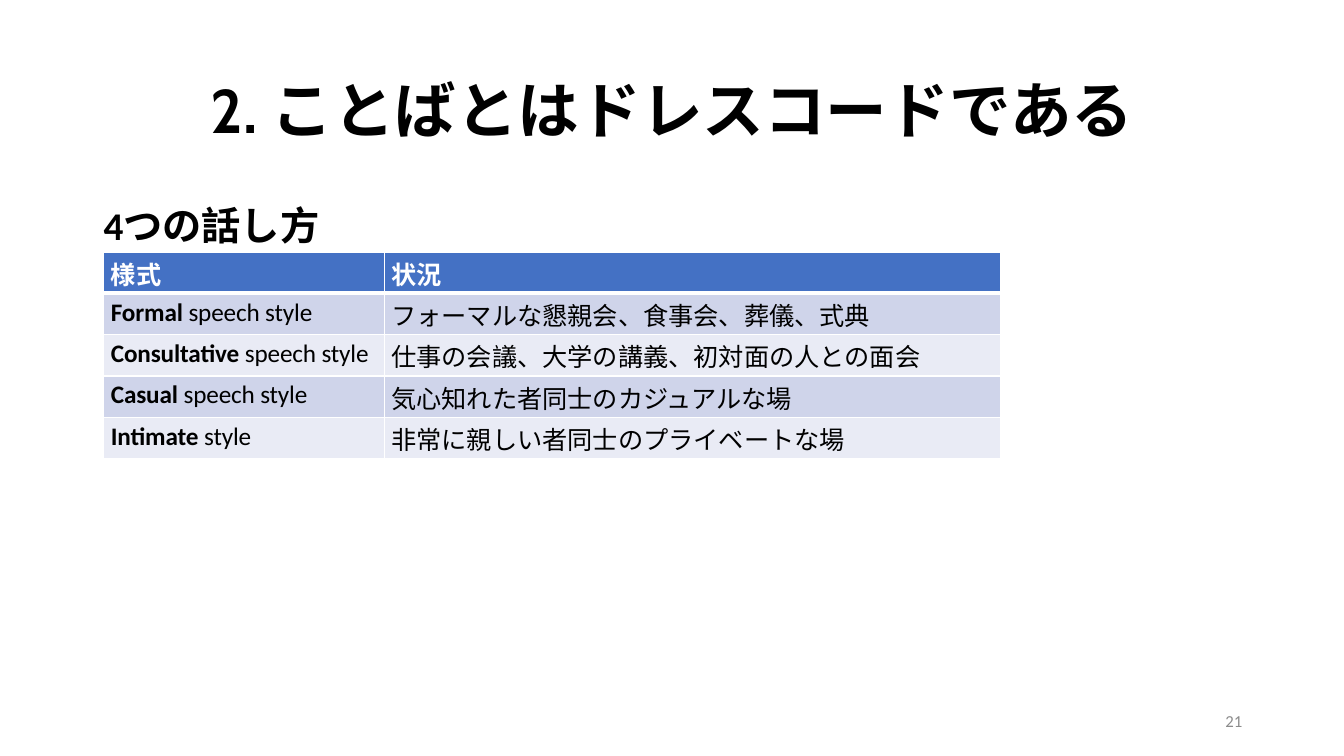
from lxml import etree
from pptx import Presentation
from pptx.dml.color import RGBColor
from pptx.enum.text import MSO_ANCHOR, PP_ALIGN
from pptx.oxml.ns import qn
from pptx.util import Inches, Pt

BLACK = RGBColor(0x00, 0x00, 0x00)
WHITE = RGBColor(0xFF, 0xFF, 0xFF)
GRAY = RGBColor(0x8C, 0x8C, 0x8C)
HEADER_BLUE = RGBColor(0x44, 0x71, 0xC4)
BAND_COLORS = (RGBColor(0xCF, 0xD4, 0xEA), RGBColor(0xE9, 0xEB, 0xF5))

LATIN = "Calibri"
JAPANESE = "Noto Sans CJK JP"

COLUMN_WIDTHS = (2.78, 6.11)
ROW_HEIGHT = 0.41
HEADINGS = ("様式", "状況")
SPEECH_STYLES = (
    ("Formal ", "speech style", "フォーマルな懇親会、食事会、葬儀、式典"),
    ("Consultative ", "speech style", "仕事の会議、大学の講義、初対面の人との面会"),
    ("Casual ", "speech style", "気心知れた者同士のカジュアルな場"),
    ("Intimate ", "style", "非常に親しい者同士のプライベートな場"),
)


class SlideBuilder:
    def __init__(self, slide):
        self.slide = slide

    def add_runs(self, paragraph, runs, indent=0, align=PP_ALIGN.LEFT, **style):
        """Add (text, font name, bold) runs to the paragraph in one style."""
        paragraph.alignment = align
        paragraph._p.get_or_add_pPr().set("marL", str(Inches(indent)))
        for text, font_name, bold in runs:
            run = paragraph.add_run()
            run.text = text
            font_format = {"name": font_name, "size": Pt(style["size"]), "bold": bold}
            for attribute, value in font_format.items():
                setattr(run.font, attribute, value)
            run.font.color.rgb = style.get("color", BLACK)
            properties = run._r.get_or_add_rPr()
            if font_name == LATIN and "spacing" in style:
                properties.set("spc", str(style["spacing"]))
            properties.find(qn("a:latin")).addnext(
                etree.Element(qn("a:ea"), typeface=JAPANESE))

    def text(self, place, runs, anchor=MSO_ANCHOR.MIDDLE, line_spacing=None, **style):
        frame = self.slide.shapes.add_textbox(*map(Inches, place)).text_frame
        frame.word_wrap = True
        frame.vertical_anchor = anchor
        frame.paragraphs[0].line_spacing = line_spacing
        self.add_runs(frame.paragraphs[0], runs, **style)

    def borders(self, cell, widths):
        """Draw white borders of the given widths in left, right, top, bottom order."""
        properties = cell._tc.get_or_add_tcPr()
        for position, (side, width) in enumerate(zip("LRTB", widths)):
            line = etree.Element(qn(f"a:ln{side}"), w=str(Pt(width)))
            fill = etree.SubElement(line, qn("a:solidFill"))
            etree.SubElement(fill, qn("a:srgbClr"), val=str(WHITE))
            properties.insert(position, line)

    def table(self, left, top, rows):
        width, height = sum(COLUMN_WIDTHS), ROW_HEIGHT * len(rows)
        place = map(Inches, (left, top, width, height))
        table = self.slide.shapes.add_table(len(rows), len(COLUMN_WIDTHS), *place).table
        for column, column_width in zip(table.columns, COLUMN_WIDTHS):
            column.width = Inches(column_width)
        for row_index, row in enumerate(rows):
            table.rows[row_index].height = Inches(ROW_HEIGHT)
            header = row_index == 0
            fill = HEADER_BLUE if header else BAND_COLORS[(row_index - 1) % 2]
            border_widths = (1, 1, 3 if row_index == 1 else 1, 3 if header else 1)
            for column_index, runs in enumerate(row):
                cell = table.cell(row_index, column_index)
                latin = runs[0][1] == LATIN
                margins = {"margin_left": 0, "margin_right": 0, "margin_bottom": 0,
                           "margin_top": Inches(0.04 if latin else 0.03)}
                for attribute, value in margins.items():
                    setattr(cell, attribute, value)
                cell.fill.solid()
                cell.fill.fore_color.rgb = fill
                self.borders(cell, border_widths)
                self.add_runs(cell.text_frame.paragraphs[0], runs, indent=0.07, size=18,
                              color=WHITE if header else BLACK, spacing=-10)


def main():
    presentation = Presentation()
    presentation.slide_width = Inches(13.33)
    presentation.slide_height = Inches(7.5)
    builder = SlideBuilder(presentation.slides.add_slide(presentation.slide_layouts[6]))

    builder.text((0.92, 0.4, 11.5, 1.45), [("2. ことばとはドレスコードである", "Cabin", True)],
                 line_spacing=0.9, align=PP_ALIGN.CENTER, size=44)
    builder.text((9.42, 6.95, 3, 0.4), [("21", LATIN, False)],
                 align=PP_ALIGN.RIGHT, size=12, color=GRAY)
    builder.text((0.92, 2, 11.5, 4.76), [("4", LATIN, True), ("つの話し方", JAPANESE, True)],
                 anchor=MSO_ANCHOR.TOP, line_spacing=0.9, indent=0.01, size=28, spacing=-10)

    rows = [[[(heading, JAPANESE, True)] for heading in HEADINGS]]
    for name, ending, situation in SPEECH_STYLES:
        rows.append([[(name, LATIN, True), (ending, LATIN, False)],
                     [(situation, JAPANESE, False)]])
    builder.table(1.03, 2.5, rows)

    presentation.save("out.pptx")


if __name__ == "__main__":
    main()
